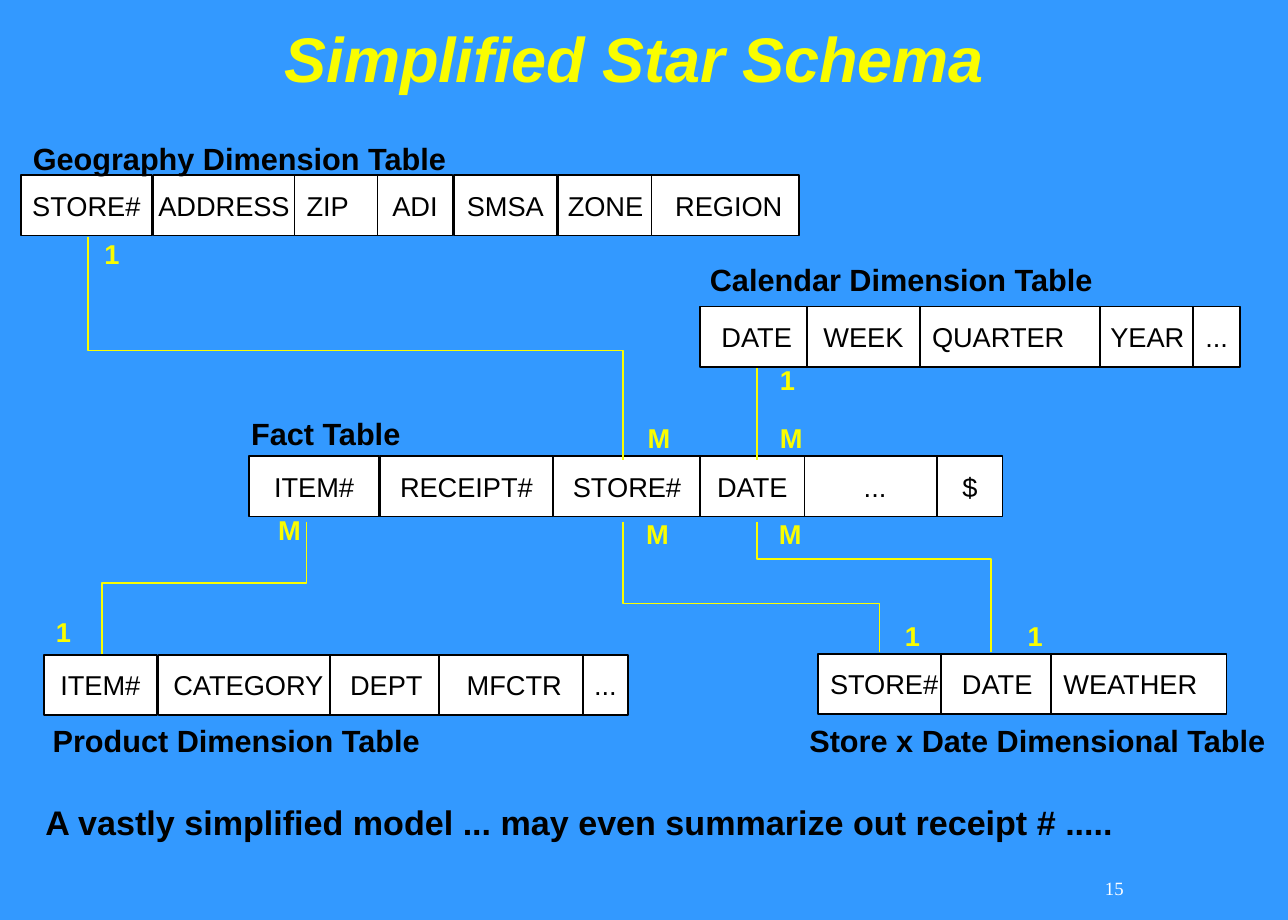
from pptx import Presentation
from pptx.dml.color import RGBColor
from pptx.enum.shapes import MSO_CONNECTOR, MSO_SHAPE
from pptx.enum.text import MSO_ANCHOR, MSO_AUTO_SIZE, PP_ALIGN
from pptx.oxml.ns import qn
from pptx.util import Cm, Pt
from lxml import etree

RECT = MSO_SHAPE.RECTANGLE
LINE = MSO_CONNECTOR.STRAIGHT
TOP, MID, LOW = MSO_ANCHOR.TOP, MSO_ANCHOR.MIDDLE, MSO_ANCHOR.BOTTOM
LEFT, CENTER, RIGHT = PP_ALIGN.LEFT, PP_ALIGN.CENTER, PP_ALIGN.RIGHT
FIXED = MSO_AUTO_SIZE.NONE

COLORS = {"back": "3399FF", "cell": "FFFFFF", "ink": "000000",
          "mark": "FAFD00", "page": "FFFFFF"}
CELL_H = 1.25

ROWS = [
    (3.63, [("STORE#", 0.43, 2.72), ("ADDRESS", 3.18, 2.92), ("ZIP", 6.1, 1.75),
            ("ADI", 7.82, 1.55), ("SMSA", 9.4, 2.13), ("ZONE", 11.56, 1.96),
            (" REGION", 13.49, 3.05)]),
    (6.35, [("DATE", 14.5, 2.34), ("WEEK", 16.71, 2.34), ("QUARTER", 19.05, 3.76),
            ("YEAR", 22.78, 1.96), ("...", 24.71, 0.97)]),
    (9.45, [("ITEM#", 5.16, 2.69), ("RECEIPT#", 7.87, 3.58), ("STORE#", 11.46, 3.05),
            ("DATE", 14.5, 2.16), ("...", 16.66, 2.92), ("$", 19.41, 1.35)]),
    (13.56, [("ITEM#", 0.91, 2.34), ("CATEGORY", 3.28, 3.73), ("DEPT", 6.83, 2.34),
             ("MFCTR", 9.09, 3.12), ("...", 12.07, 0.94)]),
    (13.54, [("STORE#", 16.94, 2.74), ("DATE", 19.48, 2.34), ("WEATHER", 21.77, 3.63)]),
]
FLUSH = {"ZIP", "QUARTER", "WEATHER"}

HEADS = [
    ("Geography Dimension Table", 0.43, 2.77, 12.07),
    ("Calendar Dimension Table", 14.45, 5.28, 9.04),
    ("Fact Table", 4.95, 8.46, 4.98),
    ("Product Dimension Table", 0.84, 14.81, 8.89),
    ("Store x Date Dimensional Table", 16.51, 14.81, 10.16),
]

MARKS = [
    ("1", 1.91, 4.78), ("M", 13.16, 8.59),
    ("1", 15.9, 7.39), ("M", 15.9, 8.59),
    ("M", 5.51, 10.49), ("1", 0.91, 12.62),
    ("M", 13.13, 10.59), ("1", 18.49, 12.7),
    ("M", 15.88, 10.59), ("1", 21.03, 12.7),
]

LINKS = [
    (1.83, 4.9, 7.26, 12.9, 9.53),
    (6.35, 10.8, 12.07, 2.11, 13.54),
    (12.9, 10.8, 12.5, 18.21, 13.51),
    (15.67, 10.8, 11.58, 20.52, 13.51),
]


def color(key):
    return RGBColor.from_string(COLORS[key])


def write(shape, text, size=16, ink="ink", font="Arial", bold=False, slant=False,
          align=LEFT, anchor=TOP, wrap=True, space=None):
    frame = shape.text_frame
    frame.auto_size = FIXED
    frame.word_wrap = wrap
    frame.vertical_anchor = anchor
    frame.margin_left = frame.margin_right = Cm(0.25)
    frame.margin_top = frame.margin_bottom = Cm(0.13)
    para = frame.paragraphs[0]
    para.alignment = align
    if space:
        para.line_spacing = space
    run = para.add_run()
    run.text = text
    run.font.name = font
    run.font.size = Pt(size)
    run.font.bold = bold
    run.font.italic = slant
    run.font.color.rgb = color(ink)


def place(shape, left, top, width, height):
    shape.left, shape.top = Cm(left), Cm(top)
    shape.width, shape.height = Cm(width), Cm(height)


def label(slide, text, left, top, width, height, **style):
    box = slide.shapes.add_textbox(Cm(left), Cm(top), Cm(width), Cm(height))
    write(box, text, **style)


def stroke(shape, key):
    shape.line.color.rgb = color(key)
    shape.line.width = Pt(1)


def cell(slide, text, left, top, width):
    box = slide.shapes.add_shape(RECT, Cm(left), Cm(top), Cm(width), Cm(CELL_H))
    box.shadow.inherit = False
    box.fill.solid()
    box.fill.fore_color.rgb = color("cell")
    stroke(box, "ink")
    flush = text in FLUSH
    write(box, text, align=LEFT if flush else CENTER, anchor=MID, wrap=flush)


def link(slide, start, top, bend, end, low):
    pen = slide.shapes.build_freeform(Cm(start), Cm(top))
    turns = [(start, bend), (end, bend), (end, low)]
    pen.add_line_segments([(Cm(x), Cm(y)) for x, y in turns], close=False)
    path = pen.convert_to_shape()
    path.shadow.inherit = False
    path.fill.background()
    stroke(path, "mark")


def line(slide, left, top, low):
    rule = slide.shapes.add_connector(LINE, Cm(left), Cm(top), Cm(left), Cm(low))
    stroke(rule, "mark")
    etree.SubElement(rule._element.spPr, qn("a:effectLst"))


def main():
    deck = Presentation()
    deck.slide_width, deck.slide_height = Cm(26.67), Cm(19.05)
    slide = deck.slides.add_slide(deck.slide_layouts[5])
    slide.background.fill.solid()
    slide.background.fill.fore_color.rgb = color("back")

    title = slide.shapes.title
    place(title, 0.58, -1.07, 25.48, 3.18)
    write(title, "Simplified Star Schema ", size=37, ink="mark", bold=True,
          slant=True, align=CENTER, anchor=LOW, space=0.9)

    for top, cells in ROWS:
        for text, left, width in cells:
            cell(slide, text, left, top, width)
    for text, left, top, width in HEADS:
        label(slide, text, left, top, width, 1.02, size=18, bold=True)
    for text, left, top in MARKS:
        label(slide, text, left, top, 1.07, 0.94, ink="mark", bold=True)
    for route in LINKS:
        link(slide, *route)
    line(slide, 15.67, 7.62, 9.53)

    label(slide, "A vastly simplified model ... may even summarize out receipt # .....",
          0.69, 16.46, 23.32, 1.09, size=20, bold=True)
    label(slide, "15", 20.55, 17.75, 2.97, 1.27, size=11, ink="page",
          font="Times New Roman", align=RIGHT, anchor=MID)
    deck.save("out.pptx")


if __name__ == "__main__":
    main()
